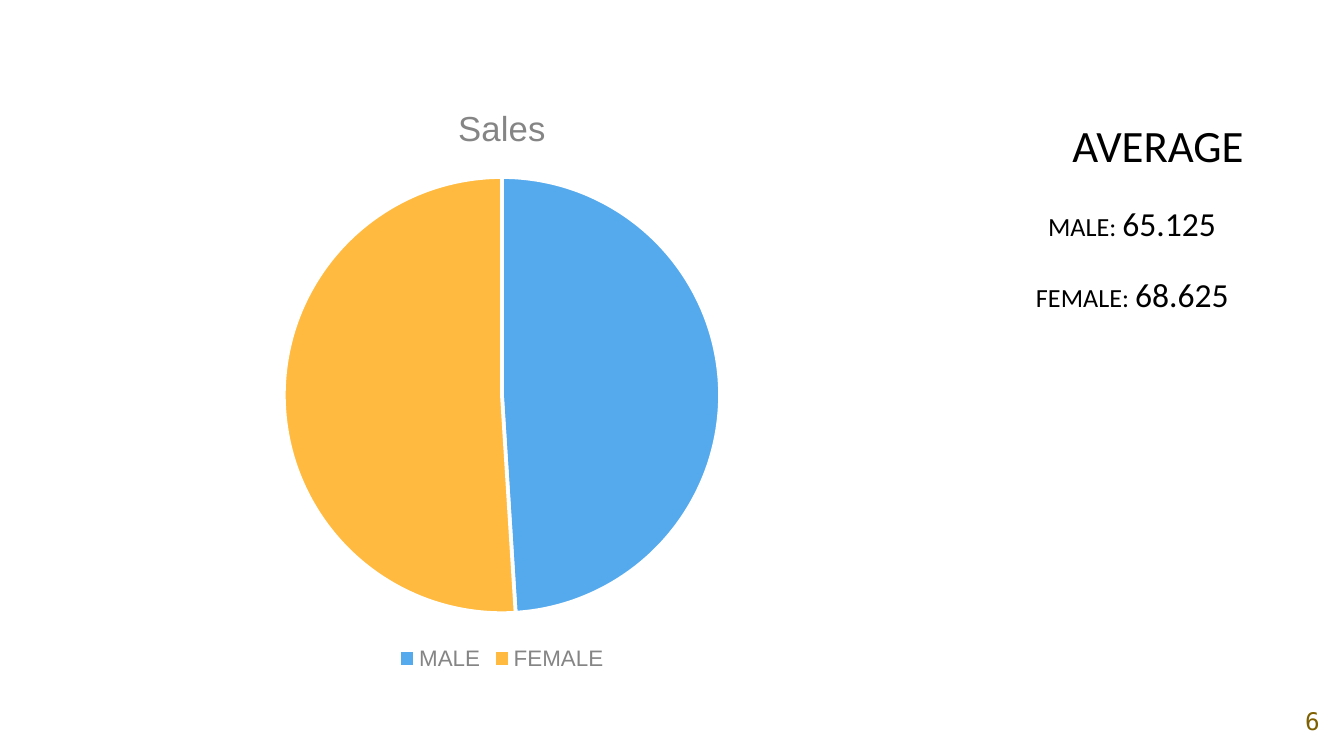
from pptx import Presentation, util as u
from pptx.chart import data
from pptx.dml.color import RGBColor
from pptx.enum import chart as charts, text

COLORS = {
    "background": "FFFFFF", "text": "000000", "muted": "858585",
    "chart_text": "434343", "number": "7F6000",
    "male": "55AAEE", "female": "FFBA3F",
}


def color(name):
    return RGBColor.from_string(COLORS[name])


def set_font(font, name, size, color_name):
    font.name, font.size, font.bold = name, u.Pt(size), False
    font.color.rgb = color(color_name)


def add_text_box(slide, left, top, width, height):
    shape = slide.shapes.add_textbox(
        u.Inches(left), u.Inches(top), u.Inches(width), u.Inches(height))
    shape.text_frame.word_wrap = True
    return shape.text_frame


def add_pie(slide):
    chart_data = data.CategoryChartData()
    chart_data.categories = ["MALE", "FEMALE"]
    chart_data.add_series("Sales", [49, 51])
    chart = slide.shapes.add_chart(
        charts.XL_CHART_TYPE.PIE, u.Inches(0.4), u.Inches(0.59),
        u.Inches(6.67), u.Inches(4.44), chart_data).chart
    set_font(chart.font, "Arial", 10, "chart_text")

    # Title and legend
    chart.has_title = True
    title = chart.chart_title.text_frame
    title.text = "Sales"
    set_font(title.paragraphs[0].runs[0].font, "Arial", 18.6, "muted")
    chart.chart_title.include_in_layout = False
    chart.has_legend = True
    chart.legend.position = charts.XL_LEGEND_POSITION.BOTTOM
    chart.legend.include_in_layout = False
    set_font(chart.legend.font, "Arial", 12, "muted")

    # Slices with white borders
    plot = chart.plots[0]
    plot.vary_by_categories = True
    for index, name in enumerate(("male", "female")):
        slice_format = plot.series[0].points[index].format
        slice_format.fill.solid()
        slice_format.fill.fore_color.rgb = color(name)
        slice_format.line.color.rgb = color("background")
        slice_format.line.width = u.Pt(2)


def add_averages(slide):
    frame = add_text_box(slide, 7.61, 0.83, 1.79, 1.82)
    lines = [
        (0.27, [("AVERAGE", 24)]),
        (0.09, [("MALE: ", 14), ("65.125", 18)]),
        (0, [("FEMALE: ", 14), ("68.625", 18)]),
    ]
    for index, (indent, parts) in enumerate(lines):
        paragraph = frame.add_paragraph() if index else frame.paragraphs[0]
        paragraph.space_before = u.Pt(16.5 if index else 0)
        paragraph._p.get_or_add_pPr().set("marL", str(u.Inches(indent)))
        for words, size in parts:
            run = paragraph.add_run()
            run.text = words
            set_font(run.font, "Calibri", size, "text")


def add_slide_number(slide):
    frame = add_text_box(slide, 9.53, 5.11, 0.47, 0.51)
    frame.margin_left = frame.margin_right = u.Inches(0.1)
    frame.margin_top = frame.margin_bottom = u.Inches(0.1)
    frame.vertical_anchor = text.MSO_ANCHOR.MIDDLE
    paragraph = frame.paragraphs[0]
    paragraph.text = "6"
    paragraph.alignment = text.PP_ALIGN.CENTER
    set_font(paragraph.font, "DejaVu Sans Mono", 13, "number")


def main():
    presentation = Presentation()
    # Widescreen, 16:9
    presentation.slide_width = u.Inches(10)
    presentation.slide_height = u.Inches(10 * 9 / 16)
    slide = presentation.slides.add_slide(presentation.slide_layouts[6])
    slide.background.fill.solid()
    slide.background.fill.fore_color.rgb = color("background")
    add_slide_number(slide)
    add_pie(slide)
    add_averages(slide)
    presentation.save("out.pptx")


if __name__ == "__main__":
    main()
